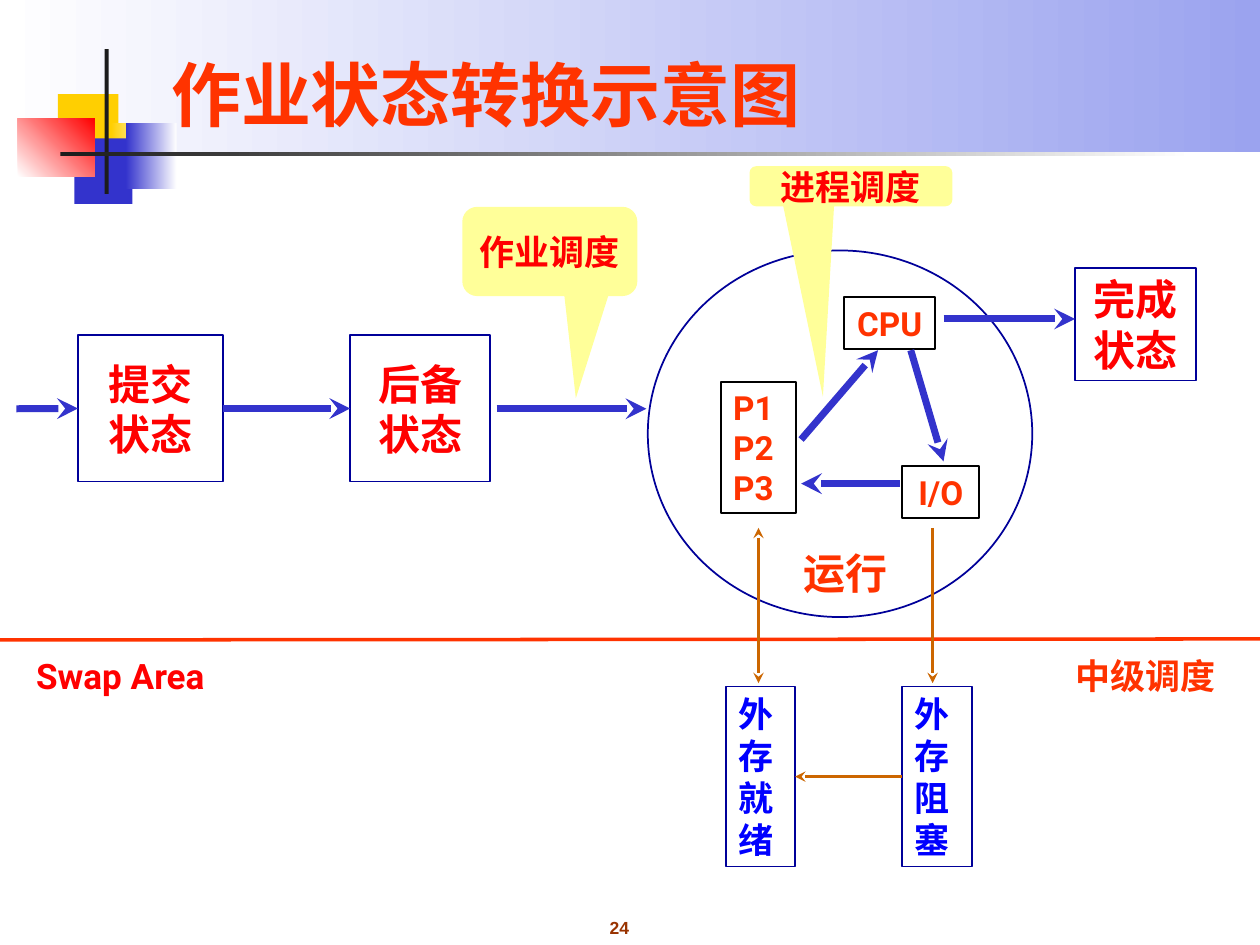
from lxml import etree
from pptx import Presentation
from pptx.dml.color import RGBColor
from pptx.enum.shapes import MSO_CONNECTOR, MSO_SHAPE
from pptx.enum.text import MSO_ANCHOR, PP_ALIGN
from pptx.oxml.ns import qn
from pptx.util import Cm, Pt

RECTANGLE, OVAL = MSO_SHAPE.RECTANGLE, MSO_SHAPE.OVAL
CALLOUT = MSO_SHAPE.ROUNDED_RECTANGULAR_CALLOUT
STRAIGHT = MSO_CONNECTOR.STRAIGHT
LEFT, CENTER = PP_ALIGN.LEFT, PP_ALIGN.CENTER
MIDDLE, BOTTOM = MSO_ANCHOR.MIDDLE, MSO_ANCHOR.BOTTOM

WHITE = RGBColor(0xFF, 0xFF, 0xFF)
BLACK = RGBColor(0x00, 0x00, 0x00)
CHARCOAL = RGBColor(0x1C, 0x1C, 0x1C)
LAVENDER = RGBColor(0x9B, 0xA3, 0xEF)
GOLD = RGBColor(0xFF, 0xCF, 0x01)
PALE_YELLOW = RGBColor(0xFF, 0xFF, 0x99)
BLUE = RGBColor(0x33, 0x33, 0xCC)
NAVY = RGBColor(0x00, 0x00, 0x99)
PURE_BLUE = RGBColor(0x00, 0x00, 0xFF)
RED = RGBColor(0xFF, 0x00, 0x00)
ORANGE_RED = RGBColor(0xFF, 0x33, 0x00)
ORANGE = RGBColor(0xCC, 0x66, 0x00)
BROWN = RGBColor(0x99, 0x33, 0x00)

SERIF, SANS, NUMBER_FONT = "Times New Roman", "Roboto", "Arial"
EAST_ASIAN_FONT = "Roboto"


def write_text(shape, text, size, color, font=SERIF, align=CENTER,
               anchor=MIDDLE, padding=(0.25, 0.13)):
    frame = shape.text_frame
    frame.text = text
    frame.word_wrap = True
    frame.vertical_anchor = anchor
    frame.margin_left = frame.margin_right = Cm(padding[0])
    frame.margin_top = frame.margin_bottom = Cm(padding[1])
    for paragraph in frame.paragraphs:
        paragraph.alignment = align
        for run in paragraph.runs:
            run.font.name = font
            run.font.size = Pt(size)
            run.font.bold = True
            run.font.color.rgb = color
            east_asian = etree.SubElement(run.font._element, qn("a:ea"))
            east_asian.set("typeface", EAST_ASIAN_FONT)


def add_label(slide, box, text, size, color, **style):
    label = slide.shapes.add_textbox(*map(Cm, box))
    write_text(label, text, size, color, **style)


def add_plain_shape(slide, kind, box, fill=None, line=None):
    shape = slide.shapes.add_shape(kind, *map(Cm, box))
    shape.shadow.inherit = False
    if fill is None:
        shape.fill.background()
    else:
        shape.fill.solid()
        shape.fill.fore_color.rgb = fill
    if line is None:
        shape.line.fill.background()
    else:
        shape.line.color.rgb = line
        shape.line.width = Pt(1)
    return shape


def add_gradient(slide, box, start, end, angle=0):
    fill = add_plain_shape(slide, RECTANGLE, box).fill
    fill.gradient()
    fill.gradient_angle = angle
    for stop, color in zip(fill.gradient_stops, (start, end)):
        stop.color.rgb = color


def add_box(slide, box, text, size, color, line=NAVY, **style):
    shape = add_plain_shape(slide, RECTANGLE, box, line=line)
    write_text(shape, text, size, color, **style)
    return shape


def add_callout(slide, box, tip, text):
    left, top, width, height = box
    callout = add_plain_shape(slide, CALLOUT, box, fill=PALE_YELLOW)
    callout.adjustments[0] = (tip[0] - left) / width - 0.5
    callout.adjustments[1] = (tip[1] - top) / height - 0.5
    write_text(callout, text, 20, RED, padding=(0, 0))


def add_line(slide, start, end, color, width, ends=("tailEnd",)):
    connector = slide.shapes.add_connector(STRAIGHT, *map(Cm, start + end))
    connector.line.color.rgb = color
    connector.line.width = Pt(width)
    outline = connector.line._get_or_add_ln()
    for name in ends:
        etree.SubElement(outline, qn("a:" + name)).set("type", "stealth")
    etree.SubElement(connector._element.spPr, qn("a:effectLst"))
    return connector


def add_header(slide):
    add_gradient(slide, (0, 0, 25.4, 3.07), WHITE, LAVENDER)
    # Overlapping squares and crossing bars
    add_plain_shape(slide, RECTANGLE, (1.17, 1.9, 1.22, 1.32), fill=GOLD)
    add_gradient(slide, (2.24, 2.49, 0.91, 1.32), GOLD, WHITE)
    add_plain_shape(slide, RECTANGLE, (1.5, 2.79, 1.17, 1.32), fill=BLUE)
    add_gradient(slide, (2.54, 2.49, 1.02, 1.32), BLUE, WHITE)
    add_gradient(slide, (0.36, 2.39, 1.55, 1.17), WHITE, RED, angle=45)
    add_plain_shape(slide, RECTANGLE, (2.11, 0.99, 0.08, 2.92), fill=CHARCOAL)
    add_gradient(slide, (1.22, 3.07, 22.86, 0.08), CHARCOAL, WHITE)
    add_label(slide, (3.2, 0.58, 21.64, 2.29), "作业状态转换示意图", 40, ORANGE_RED,
              font=SANS, align=LEFT, anchor=BOTTOM)


def add_job_states(slide):
    submitted = add_box(slide, (1.57, 6.76, 2.92, 2.95), "提交\n状态", 24, RED,
                        padding=(0, 0))
    ready = add_box(slide, (7.06, 6.76, 2.82, 2.95), "后备\n状态", 24, RED,
                    padding=(0, 0))
    add_box(slide, (21.67, 5.41, 2.44, 2.26), "完成状态", 24, RED)

    middle = 8.24
    arrival = add_line(slide, (0.33, middle), (1.57, middle), BLUE, 4)
    arrival.end_connect(submitted, 1)
    admission = add_line(slide, (4.49, middle), (7.06, middle), BLUE, 4)
    admission.begin_connect(submitted, 3)
    admission.end_connect(ready, 1)
    add_line(slide, (10.01, middle), (13.03, middle), BLUE, 4)


def add_running_state(slide):
    add_plain_shape(slide, OVAL, (13.06, 5.05, 7.75, 7.39), line=NAVY)
    add_label(slide, (15.95, 10.92, 2.41, 1.24), "运行", 24, ORANGE_RED, align=LEFT)
    add_box(slide, (14.53, 7.7, 1.52, 2.64), "P1\nP2\nP3", 19, ORANGE_RED,
            line=BLACK, font=SANS, align=LEFT)
    for box, text in (((17.02, 5.99, 1.83, 1.04), "CPU"),
                      ((18.19, 9.4, 1.55, 1.04), "I/O")):
        add_box(slide, box, text, 19, ORANGE_RED, line=BLACK, font=SANS,
                padding=(0, 0))
    for start, end in (((16.15, 8.86), (17.7, 7.06)),    # queue to CPU
                       ((18.36, 7.06), (19.02, 9.3)),    # CPU to I/O
                       ((18.14, 9.75), (16.15, 9.75)),   # I/O to queue
                       ((19.02, 6.43), (21.67, 6.43))):  # CPU to finished
        add_line(slide, start, end, BLUE, 4)


def add_swap_area(slide):
    add_line(slide, (0, 12.9), (25.4, 12.88), ORANGE_RED, 2, ends=())
    add_label(slide, (0.48, 13.08, 4.83, 1.09), "Swap Area", 20, RED,
              font=SANS, align=LEFT)
    add_label(slide, (21.23, 13.08, 3.73, 1.09), "中级调度", 20, ORANGE_RED)

    swapped_ready, swapped_blocked = [
        add_box(slide, (left, 13.84, 1.4, 3.63), text, 20, PURE_BLUE, align=LEFT)
        for left, text in ((14.63, "外存就绪"), (18.19, "外存阻塞"))]
    add_line(slide, (15.29, 10.64), (15.29, 13.77), ORANGE, 2,
             ends=("headEnd", "tailEnd"))
    add_line(slide, (18.8, 10.64), (18.8, 13.77), ORANGE, 2)
    wake_up = add_line(slide, (18.19, 15.65), (16.03, 15.65), ORANGE, 2)
    wake_up.begin_connect(swapped_blocked, 1)
    wake_up.end_connect(swapped_ready, 3)


def main():
    presentation = Presentation()
    presentation.slide_width, presentation.slide_height = Cm(25.4), Cm(19.05)
    slide = presentation.slides.add_slide(presentation.slide_layouts[6])

    add_header(slide)
    add_job_states(slide)
    add_running_state(slide)
    # Scheduler callouts
    add_callout(slide, (9.32, 4.17, 3.53, 1.8), (11.61, 8.03), "作业调度")
    add_callout(slide, (15.11, 3.35, 4.09, 0.81), (16.59, 8), "进程调度")
    add_swap_area(slide)
    # Slide number
    add_label(slide, (11.38, 18.36, 2.21, 0.69), "24", 10, BROWN, font=NUMBER_FONT)
    presentation.save("out.pptx")


if __name__ == "__main__":
    main()
